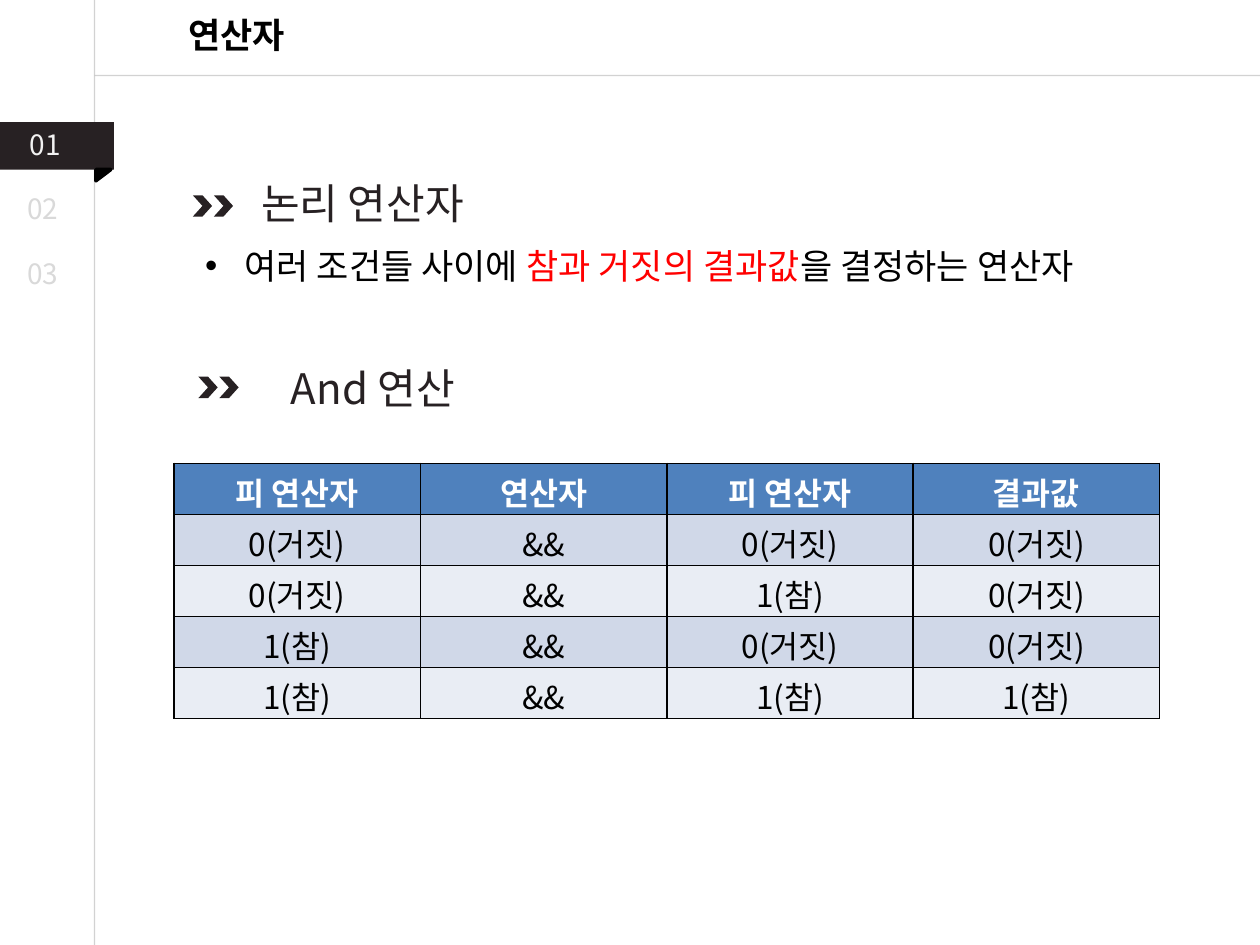
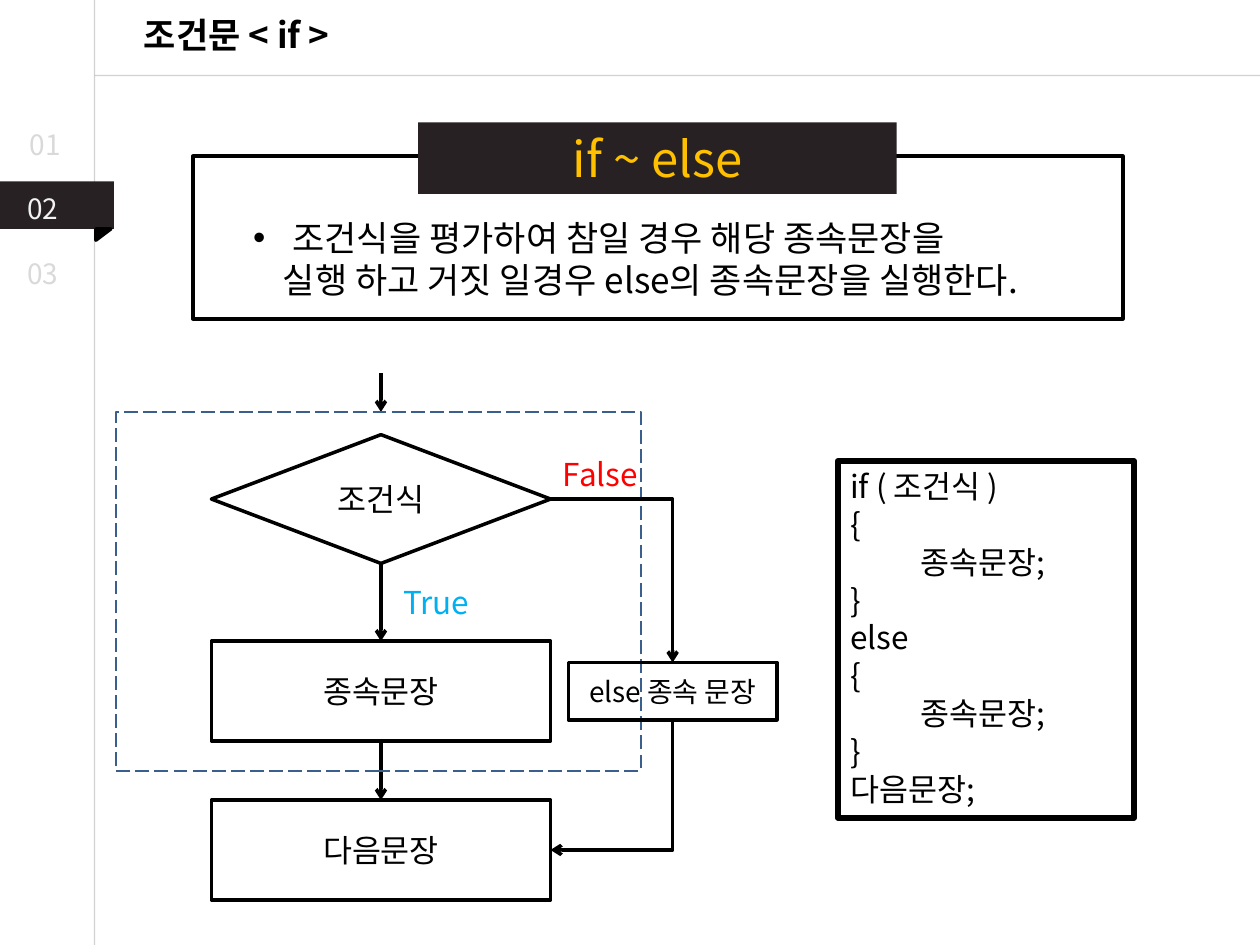
from lxml.etree import SubElement
from pptx import Presentation
from pptx.dml.color import RGBColor
from pptx.enum.dml import MSO_LINE
from pptx.enum.shapes import MSO_CONNECTOR, MSO_SHAPE
from pptx.enum.text import MSO_ANCHOR, PP_ALIGN
from pptx.oxml.ns import qn
from pptx.util import Pt

FONT = "Noto Sans CJK KR"
BLACK = RGBColor(0x00, 0x00, 0x00)
WHITE = RGBColor(0xFF, 0xFF, 0xFF)
DARK = RGBColor(0x27, 0x21, 0x23)
RULE_GREY = RGBColor(0xA6, 0xA6, 0xA6)
IDLE_GREY = RGBColor(0xD9, 0xD9, 0xD9)
ACTIVE_GREY = RGBColor(0xF2, 0xF2, 0xF2)
RED = RGBColor(0xFF, 0x00, 0x00)
SKY = RGBColor(0x00, 0xB0, 0xF0)
GOLD = RGBColor(0xFF, 0xC0, 0x00)
DASH_BLUE = RGBColor(0x3A, 0x5F, 0x8C)
HEADER_BLUE = RGBColor(0x4F, 0x81, 0xBD)
BANDS = [RGBColor(0xD0, 0xD8, 0xE8), RGBColor(0xE9, 0xED, 0xF4)]

SLIDE_WIDTH, SLIDE_HEIGHT = 720, 540
RAIL_LEFT, HEADER_BOTTOM = 54, 43.2
# Label, its left and top, top of the tab behind it when active
SECTIONS = [("01", 10, 69.1, 69.8), ("02", 8.6, 105.8, 103.7), ("03", 8.6, 143.3, 141.2)]


def write_text(frame, paragraphs, size=18, color=BLACK, bold=False,
               align=PP_ALIGN.LEFT, anchor=MSO_ANCHOR.TOP, leading=1.2, side=7.2):
    """Each paragraph is a string, or a dict with runs, indent and bullet."""
    frame.word_wrap = True
    frame.vertical_anchor = anchor
    frame.margin_left = frame.margin_right = Pt(side)
    for index, entry in enumerate(paragraphs):
        if isinstance(entry, str):
            entry = {"runs": [(entry, color)]}
        paragraph = frame.paragraphs[0] if index == 0 else frame.add_paragraph()
        paragraph.alignment = align
        if leading:
            paragraph.line_spacing = Pt(size * leading)
        properties = paragraph._p.get_or_add_pPr()
        indent = entry.get("indent", 0)
        if indent:
            properties.set("marL", str(Pt(indent)))
        if entry.get("bullet"):
            properties.set("indent", str(-Pt(indent)))
            SubElement(properties, qn("a:buFont"), typeface="Arial")
            SubElement(properties, qn("a:buChar"), char="•")
        for text, run_color in entry["runs"]:
            run = paragraph.add_run()
            run.text = text
            run.font.size = Pt(size)
            run.font.bold = bold
            run.font.name = FONT
            run.font.color.rgb = run_color
            SubElement(run._r.get_or_add_rPr(), qn("a:ea"), typeface=FONT)


def add_text(slide, left, top, width, height, paragraphs, **text_format):
    box = slide.shapes.add_textbox(Pt(left), Pt(top), Pt(width), Pt(height))
    write_text(box.text_frame, paragraphs, **text_format)
    return box


def outline(shape, color, weight, dash=None):
    shape.line.color.rgb = color
    shape.line.width = Pt(weight)
    if dash:
        shape.line.dash_style = dash


def add_shape(slide, kind, left, top, width, height, fill=None, line=None,
              weight=2, dash=None):
    shape = slide.shapes.add_shape(kind, Pt(left), Pt(top), Pt(width), Pt(height))
    shape.shadow.inherit = False
    if fill is None:
        shape.fill.background()
    else:
        shape.fill.solid()
        shape.fill.fore_color.rgb = fill
    if line is None:
        shape.line.fill.background()
    else:
        outline(shape, line, weight, dash)
    return shape


def add_line(slide, start, end, color=BLACK, weight=2, arrow=True, opacity=None,
             elbow=False, rotation=0):
    kind = MSO_CONNECTOR.ELBOW if elbow else MSO_CONNECTOR.STRAIGHT
    line = slide.shapes.add_connector(kind, *(Pt(value) for value in start + end))
    outline(line, color, weight)
    properties = line._element.spPr
    stroke = properties.find(qn("a:ln"))
    if arrow:
        SubElement(stroke, qn("a:tailEnd"), type="arrow")
    if opacity:
        SubElement(stroke.find(".//" + qn("a:srgbClr")), qn("a:alpha"),
                   val=str(opacity * 1000))
    if elbow:
        properties.find(qn("a:prstGeom")).set("prst", "bentConnector2")
    if rotation:
        properties.find(qn("a:xfrm")).set("rot", str(rotation * 60000))
    SubElement(properties, qn("a:effectLst"))
    return line


def add_frame(slide, title, title_left, active):
    """Rules, section tabs and title shared by the slides."""
    for start, end in [((RAIL_LEFT, 0), (RAIL_LEFT, SLIDE_HEIGHT)),
                       ((SLIDE_WIDTH, HEADER_BOTTOM), (RAIL_LEFT, HEADER_BOTTOM))]:
        add_line(slide, start, end, RULE_GREY, 0.75, arrow=False, opacity=50)
    # Active tab with its folded corner
    tab_top = SECTIONS[active][3]
    add_shape(slide, MSO_SHAPE.RECTANGLE, 0, tab_top, 65.2, 27.2, fill=DARK)
    fold = add_shape(slide, MSO_SHAPE.RIGHT_TRIANGLE, 55.8, tab_top + 26, 6.5, 8.6,
                     fill=BLACK, line=BLACK)
    fold.rotation = 90
    for index, (label, left, top, _) in enumerate(SECTIONS):
        add_text(slide, left, top, 42, 26.6, [label], size=16,
                 color=ACTIVE_GREY if index == active else IDLE_GREY)
    add_text(slide, title_left, 4.3, 154, 31.7, [title], size=20, bold=True,
             align=PP_ALIGN.CENTER)


def add_heading(slide, left, top, text, chevron_left, chevron_top):
    """Centred heading with a double chevron placed inside its box."""
    add_text(slide, left, top, 226, 36, [text], size=24, color=DARK,
             align=PP_ALIGN.CENTER)
    for step in (1, 0):
        add_shape(slide, MSO_SHAPE.CHEVRON, left + chevron_left + 12 * step,
                  top + chevron_top, 11, 12.2, fill=DARK)


def add_truth_table(slide, left, top, width, height, rows):
    columns = len(rows[0])
    table = slide.shapes.add_table(len(rows), columns, Pt(left), Pt(top),
                                   Pt(width), Pt(height)).table
    for column in table.columns:
        column.width = Pt(width / columns)
    for row_index, row in enumerate(rows):
        table.rows[row_index].height = Pt(height / len(rows))
        header = row_index == 0
        for column_index, text in enumerate(row):
            cell = table.cell(row_index, column_index)
            cell.margin_top, cell.margin_bottom = Pt(3), Pt(0)
            write_text(cell.text_frame, [text], bold=header, leading=None,
                       color=WHITE if header else BLACK, align=PP_ALIGN.CENTER)
            # Borders come before the fill in the cell properties
            properties = cell._tc.get_or_add_tcPr()
            for side in ("a:lnL", "a:lnR", "a:lnT", "a:lnB"):
                border = SubElement(properties, qn(side), w=str(Pt(1)))
                paint = SubElement(border, qn("a:solidFill"))
                SubElement(paint, qn("a:srgbClr"), val=str(BLACK))
            cell.fill.solid()
            cell.fill.fore_color.rgb = HEADER_BLUE if header else BANDS[(row_index - 1) % 2]


def add_definition(slide, left, top, width, height):
    """Framed definition with a dark caption across its upper edge."""
    add_shape(slide, MSO_SHAPE.RECTANGLE, left, top, width, height, line=BLACK)
    caption = add_shape(slide, MSO_SHAPE.RECTANGLE, left + 128.8, top - 19.4, 273.4, 41,
                        fill=DARK)
    write_text(caption.text_frame, ["if ~ else"], size=28, color=GOLD,
               align=PP_ALIGN.CENTER, anchor=MSO_ANCHOR.MIDDLE)
    add_text(slide, left + 27.4, top + 31, 494.6, 55.4, [
        {"runs": [("조건식을 평가하여 참일 경우 해당 종속문장을", BLACK)],
         "indent": 22.5, "bullet": True},
        {"runs": [("실행 하고 거짓 일경우 else의 종속문장을 실행한다.", BLACK)],
         "indent": 17},
    ], size=20)


def add_flowchart(slide, left, top):
    """Branching flow; left and top are the corner of the dashed scope."""
    node_left, node_width = left + 54.6, 193.8
    middle, node_right = node_left + node_width / 2, node_left + node_width
    else_middle = left + 318.2

    def add_node(kind, node_x, node_top, width, height, text, size=18):
        node = add_shape(slide, kind, node_x, top + node_top, width, height, line=BLACK)
        write_text(node.text_frame, [text], size=size, align=PP_ALIGN.CENTER,
                   anchor=MSO_ANCHOR.MIDDLE, side=0)

    # Nodes of the main path
    add_node(MSO_SHAPE.DIAMOND, node_left, 13, node_width, 73.6, "조건식")
    add_node(MSO_SHAPE.RECTANGLE, node_left, 131, node_width, 57, "종속문장")
    add_node(MSO_SHAPE.RECTANGLE, node_left, 221.8, node_width, 57, "다음문장")
    for start, end in [(86.6, 131), (188, 221.8), (-22.3, 0)]:
        add_line(slide, (middle, top + start), (middle, top + end))
    add_shape(slide, MSO_SHAPE.RECTANGLE, left, top, 300.2, 205.2, line=DASH_BLUE,
              weight=1, dash=MSO_LINE.LONG_DASH)

    # Else branch
    add_node(MSO_SHAPE.RECTANGLE, else_middle - 59.6, 143.2, 119.2, 32.8,
             "else 종속 문장", size=16)
    add_line(slide, (node_right, top + 49.8), (else_middle, top + 143.2), elbow=True)
    # The return path is an elbow turned a quarter about its centre
    across, down = else_middle - node_right, 74.3
    center_x, center_y = node_right + across / 2, top + 176 + down / 2
    add_line(slide, (center_x - down / 2, center_y - across / 2),
             (center_x + down / 2, center_y + across / 2), elbow=True, rotation=90)

    # Branch labels
    add_text(slide, left + 157, top + 94.4, 66.2, 28.8, ["True"], color=SKY)
    add_text(slide, left + 248.4, top + 21, 66.2, 28.8, ["False"], color=RED)


def add_code(slide, left, top, width, height):
    block = ["{", {"runs": [("종속문장;", BLACK)], "indent": 40}, "}"]
    box = add_text(slide, left, top, width, height,
                   ["if ( 조건식 )", *block, "else", *block, "다음문장;"])
    outline(box, BLACK, 3.5)


def build_operator_slide(slide):
    add_frame(slide, "연산자", 58.3, active=0)
    add_heading(slide, 91.4, 97.9, " 논리 연산자", 18.8, 13.7)
    add_text(slide, 110.2, 136, 573, 31.7, [{
        "runs": [("여러 조건들 사이에 ", BLACK), ("참과 거짓의 결과값", RED),
                 ("을 결정하는 연산자", BLACK)],
        "indent": 22.5, "bullet": True}], size=20)
    false, true = "0(거짓)", "1(참)"
    rows = [["피 연산자", "연산자", "피 연산자", "결과값"]]
    for first in (False, True):
        for second in (False, True):
            values = [true if value else false
                      for value in (first, second, first and second)]
            rows.append([values[0], "&&", *values[1:]])
    add_truth_table(slide, 99.4, 264.8, 563.2, 145.8, rows)
    add_heading(slide, 100.1, 203.8, "And 연산", 13.3, 11.5)


def build_condition_slide(slide):
    add_frame(slide, "조건문 < if >", 58.3, active=1)
    add_definition(slide, 110.2, 89.3, 531.4, 92.9)
    add_flowchart(slide, 66.2, 235.4)
    add_code(slide, 478.8, 263.5, 169.2, 203.8)


presentation = Presentation()
presentation.slide_width = Pt(SLIDE_WIDTH)
presentation.slide_height = Pt(SLIDE_HEIGHT)
for build in (build_operator_slide, build_condition_slide):
    build(presentation.slides.add_slide(presentation.slide_layouts[6]))
presentation.save("out.pptx")
